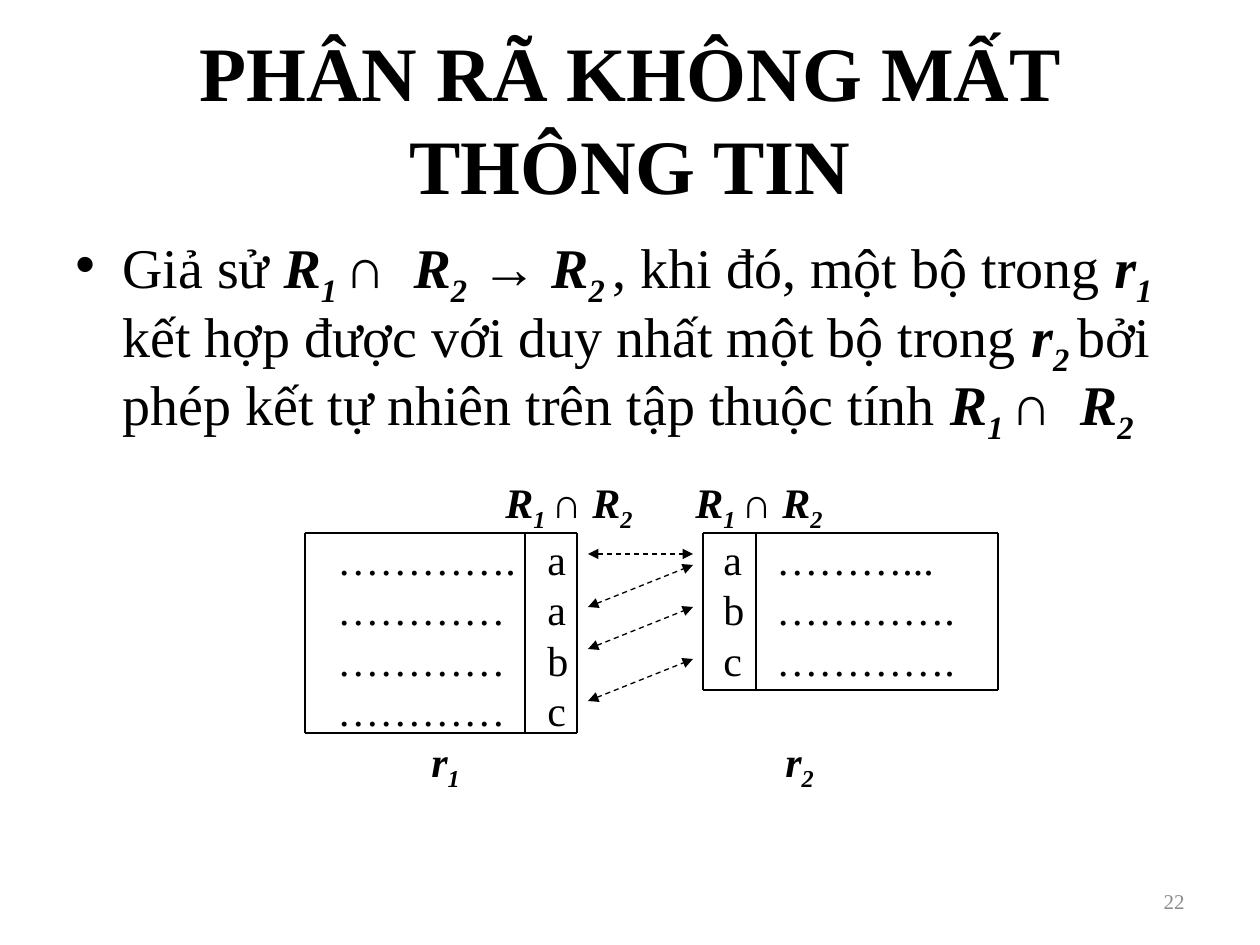
from lxml import etree
from pptx import Presentation
from pptx.dml.color import RGBColor
from pptx.enum.dml import MSO_LINE
from pptx.enum.shapes import MSO_CONNECTOR
from pptx.enum.text import MSO_ANCHOR, PP_ALIGN
from pptx.oxml.ns import qn
from pptx.util import Emu, Pt

STRAIGHT = MSO_CONNECTOR.STRAIGHT
DASH = MSO_LINE.DASH
TOP, MIDDLE = MSO_ANCHOR.TOP, MSO_ANCHOR.MIDDLE
LEFT, CENTER, RIGHT = PP_ALIGN.LEFT, PP_ALIGN.CENTER, PP_ALIGN.RIGHT

PX = 914400 / 126
FONT = "Times New Roman"
COLORS = {"ink": "000000", "number": "8C8C8C"}
STYLES = {
    "plain": {},
    "bold": {"bold": True},
    "name": {"bold": True, "italic": True},
    "index": {"bold": True, "italic": True},
}
SUBSCRIPT = "-25000"


def px(n):
    return Emu(round(n * PX))


def add_box(s, left, top, width, height, anchor=TOP):
    tf = s.shapes.add_textbox(px(left), px(top), px(width), px(height)).text_frame
    tf.word_wrap = True
    tf.vertical_anchor = anchor
    return tf


def add_runs(p, runs, size, color="ink"):
    for text, style in runs:
        r = p.add_run()
        r.text = text
        font = {"name": FONT, "size": Pt(size), **STYLES[style]}
        for key, value in font.items():
            setattr(r.font, key, value)
        r.font.color.rgb = RGBColor.from_string(COLORS[color])
        if style == "index":
            r._r.get_or_add_rPr().set("baseline", SUBSCRIPT)


def add_bullet(p, indent):
    pPr = p._p.get_or_add_pPr()
    pPr.set("marL", str(px(indent)))
    pPr.set("indent", str(-px(indent)))
    etree.SubElement(pPr, qn("a:buFont")).set("typeface", "Arial")
    etree.SubElement(pPr, qn("a:buChar")).set("char", "•")


def add_tabs(p, stops):
    tabs = etree.SubElement(p._p.get_or_add_pPr(), qn("a:tabLst"))
    for stop in stops:
        tab = etree.SubElement(tabs, qn("a:tab"))
        tab.set("pos", str(px(stop)))
        tab.set("algn", "l")


def add_line(s, x1, y1, x2, y2, arrows=False):
    c = s.shapes.add_connector(STRAIGHT, px(x1), px(y1), px(x2), px(y2))
    c.line.color.rgb = RGBColor.from_string(COLORS["ink"])
    c.line.width = Pt(0.75)
    if arrows:
        c.line.dash_style = DASH
        ln = c.line._get_or_add_ln()
        for end in ("a:headEnd", "a:tailEnd"):
            etree.SubElement(ln, qn(end)).set("type", "triangle")
    etree.SubElement(c._element.spPr, qn("a:effectLst"))


def add_relation_frame(s, left, divider, right, top, bottom):
    for y in (top, bottom):
        add_line(s, left, y, right, y)
    for x in (left, divider, right):
        add_line(s, x, top, x, bottom)


def intersection(gap=" "):
    return [("R", "name"), ("1 ", "index"), ("∩" + gap, "bold"),
            ("R", "name"), ("2", "index")]


def add_title(s):
    p = add_box(s, 63, 38, 1134, 158, MIDDLE).paragraphs[0]
    p.alignment = CENTER
    add_runs(p, [("PHÂN RÃ KHÔNG MẤT THÔNG TIN", "bold")], 44)


def add_statement(s):
    p = add_box(s, 63, 227, 1134, 624).paragraphs[0]
    add_bullet(p, 47)
    p.line_spacing = 0.9
    add_runs(p, [
        ("Giả sử ", "plain"), *intersection("  "),
        (" → ", "bold"), ("R", "name"), ("2 ", "index"),
        (", khi đó, một bộ trong ", "plain"), ("r", "name"), ("1 ", "index"),
        ("kết hợp được với duy nhất một bộ trong ", "plain"),
        ("r", "name"), ("2 ", "index"),
        ("bởi phép kết tự nhiên trên tập thuộc tính ", "plain"),
        *intersection("  "),
    ], 32)


def add_tuples(s):
    tab = ("\t", "plain")
    rows = ["………….\ta\ta\t………...", "…………\ta\tb\t………….",
            "…………\tb\tc\t………….", "…………\tc"]
    lines = [((168, 358), [tab, *intersection(), tab, *intersection()])]
    lines += [((210, 386, 439), [(row, "plain")]) for row in rows]
    lines.append(((94, 448), [tab, ("r", "name"), ("1", "index"),
                              tab, ("r", "name"), ("2", "index")]))
    tf = add_box(s, 325, 470, 649, 318)
    for i, (stops, runs) in enumerate(lines):
        p = tf.add_paragraph() if i else tf.paragraphs[0]
        p.alignment = LEFT
        add_tabs(p, stops)
        add_runs(p, runs, 24)


def add_slide_number(s):
    p = add_box(s, 903, 876, 294, 50, MIDDLE).paragraphs[0]
    p.alignment = RIGHT
    add_runs(p, [("22", "plain")], 12, "number")


def main():
    prs = Presentation()
    prs.slide_width, prs.slide_height = px(1260), px(945)
    s = prs.slides.add_slide(prs.slide_layouts[6])

    # Text
    add_title(s)
    add_statement(s)
    add_slide_number(s)
    add_tuples(s)

    # Frames of r1 and r2
    add_relation_frame(s, 305, 525, 577, 533, 733)
    add_relation_frame(s, 703, 756, 998, 533, 690)

    # Matching tuples
    for y1, y2 in ((554, 554), (607, 565), (649, 607), (701, 659)):
        add_line(s, 588, y1, 693, y2, arrows=True)

    prs.save("out.pptx")


if __name__ == "__main__":
    main()
